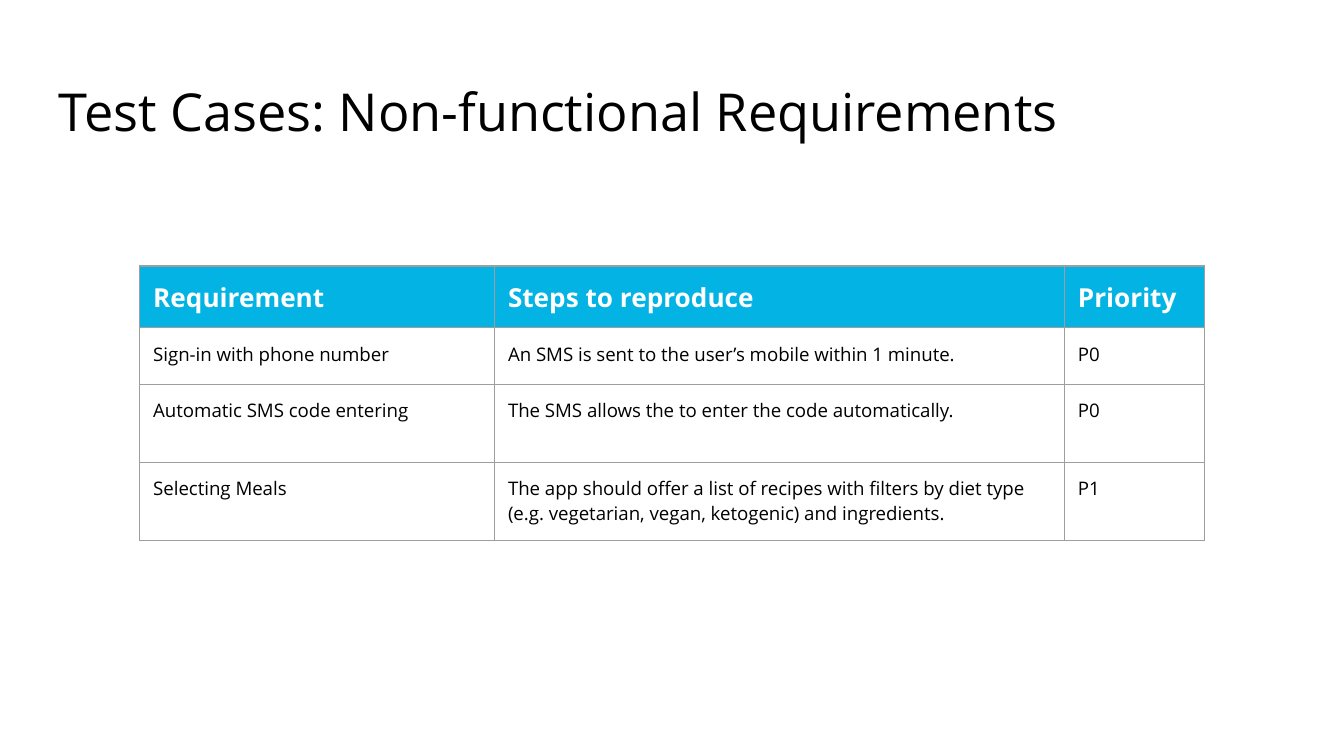
from dataclasses import dataclass

from lxml.etree import SubElement
from pptx import Presentation
from pptx.dml.color import RGBColor as Color
from pptx.enum.text import MSO_ANCHOR as Anchor
from pptx.oxml.ns import qn
from pptx.util import Inches, Pt


@dataclass(frozen=True)
class Theme:
    font: str = "Open Sans"
    ink: str = "000000"
    header_ink: str = "FFFFFF"
    header_fill: str = "02B3E4"
    border: str = "9E9E9E"
    title_size: int = 28
    header_size: int = 14
    body_size: int = 10
    border_width: float = 0.75
    inset: float = 0.1


theme = Theme()


def write_text(text_frame, text, size, color, bold=False):
    text_frame.text = text
    text_frame.word_wrap = True
    font = text_frame.paragraphs[0].runs[0].font
    font.name, font.size, font.bold = theme.font, Pt(size), bold
    font.color.rgb = Color.from_string(color)


def draw_borders(cell):
    properties = cell._tc.get_or_add_tcPr()
    for position, side in enumerate(("lnL", "lnR", "lnT", "lnB")):
        line = properties.makeelement(qn(f"a:{side}"), {"w": str(Pt(theme.border_width))})
        fill = SubElement(line, qn("a:solidFill"))
        SubElement(fill, qn("a:srgbClr"), val=theme.border)
        properties.insert(position, line)


presentation = Presentation()
presentation.slide_width = Inches(10)
presentation.slide_height = presentation.slide_width * 9 // 16
slide = presentation.slides.add_slide(presentation.slide_layouts[6])

title = slide.shapes.add_textbox(Inches(0.34), Inches(0.49), Inches(9.32), Inches(0.63))
title_frame = title.text_frame
title_frame.margin_left = title_frame.margin_right = Inches(theme.inset)
title_frame.margin_top = title_frame.margin_bottom = Inches(theme.inset)
title_frame.vertical_anchor = Anchor.TOP
write_text(title_frame, "Test Cases: Non-functional Requirements", theme.title_size, theme.ink)

requirements = [
    ("Requirement", "Steps to reproduce", "Priority"),
    ("Sign-in with phone number", "An SMS is sent to the user’s mobile within 1 minute.", "P0"),
    ("Automatic SMS code entering", "The SMS allows the to enter the code automatically.", "P0"),
    (
        "Selecting Meals",
        "The app should offer a list of recipes with filters by diet type "
        "(e.g. vegetarian, vegan, ketogenic) and ingredients.",
        "P1",
    ),
]
column_widths = (2.64, 4.24, 1.04)
row_heights = (0.46, 0.42, 0.58, 0.58)

table = slide.shapes.add_table(
    len(row_heights), len(column_widths), Inches(1.04), Inches(1.98),
    Inches(sum(column_widths)), Inches(sum(row_heights)),
).table
table.horz_banding = False
for column, width in zip(table.columns, column_widths):
    column.width = Inches(width)

for row_index, (row, height, texts) in enumerate(zip(table.rows, row_heights, requirements)):
    row.height = Inches(height)
    is_header = row_index == 0
    size = theme.header_size if is_header else theme.body_size
    color = theme.header_ink if is_header else theme.ink
    for cell, text in zip(row.cells, texts):
        write_text(cell.text_frame, text, size, color, is_header)
        cell.margin_left = cell.margin_right = Inches(theme.inset)
        cell.margin_top = cell.margin_bottom = Inches(theme.inset)
        if is_header:
            cell.fill.solid()
            cell.fill.fore_color.rgb = Color.from_string(theme.header_fill)
        else:
            cell.fill.background()
        draw_borders(cell)

presentation.save("out.pptx")
